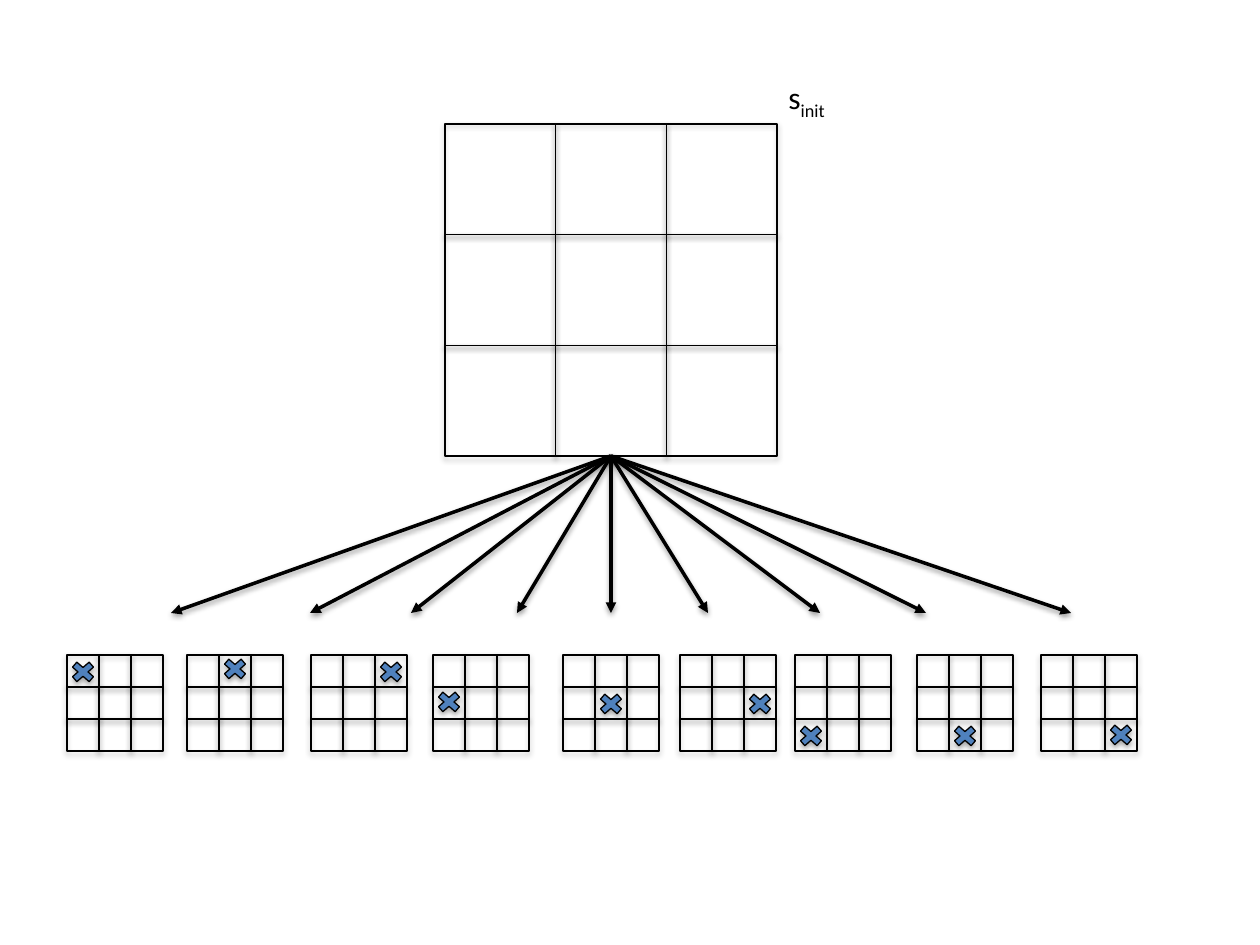
from lxml import etree
from pptx import Presentation
from pptx import util as u
from pptx.dml.color import RGBColor
from pptx.enum import shapes
from pptx.oxml import ns

SCALE = 914400 / 126
BLACK, BLUE = "000000", "4F81BD"
ROOT = (611, 456)
TIP_Y = 613
ROW_Y, SIDE = 655, 96
# board left, mark top, arrow tip x: one entry for each possible first move
MOVES = [
    (67, 658, 171), (187, 655, 310), (311, 658, 411),
    (433, 688, 517), (563, 690, 611), (680, 690, 708),
    (795, 722, 820), (917, 722, 926), (1041, 721, 1071),
]


def px(*vals):
    return [u.Emu(round(v * SCALE)) for v in vals]


def color(code):
    return RGBColor.from_string(code)


def add_node(parent, tag, **attrs):
    return etree.SubElement(parent, ns.qn(tag), attrs)


def add_shade(effects, dist, alpha):
    """Put a soft black shadow, cast straight down, in an effect list."""
    shade = add_node(effects, "a:outerShdw", blurRad="40000", dist=str(dist),
                     dir="5400000", rotWithShape="0")
    tint = add_node(shade, "a:srgbClr", val=BLACK)
    add_node(tint, "a:alpha", val=str(alpha * 1000))


def add_box(host, kind, x, y, w, h, fill=None):
    box = host.add_shape(kind, *px(x, y, w, h))
    if fill:
        box.fill.solid()
        box.fill.fore_color.rgb = color(fill)
    else:
        box.fill.background()
    box.line.color.rgb = color(BLACK)
    box.line.width = u.Pt(0.75)
    box.shadow.inherit = False
    add_shade(box._element.spPr.find(ns.qn("a:effectLst")), 23000, 35)


def add_board(slide, x, y, side):
    """Draw a three by three grid as one group."""
    group = slide.shapes.add_group_shape()
    cell = side / 3
    for row in range(3):
        for col in range(3):
            add_box(group.shapes, shapes.MSO_SHAPE.RECTANGLE,
                    x + col * cell, y + row * cell, cell, cell)


def add_arrow(slide, start, end):
    arrow = slide.shapes.add_connector(
        shapes.MSO_CONNECTOR.STRAIGHT, *px(*start, *end))
    arrow.line.color.rgb = color(BLACK)
    arrow.line.width = u.Pt(2)
    add_node(arrow.line._get_or_add_ln(), "a:tailEnd", type="triangle")
    add_shade(add_node(arrow._element.spPr, "a:effectLst"), 20000, 38)


def add_label(slide, x, y, w, h, name, sub):
    """Write a name followed by its subscript."""
    frame = slide.shapes.add_textbox(*px(x, y, w, h)).text_frame
    para = frame.paragraphs[0]
    for word in (name, sub):
        run = para.add_run()
        run.text = word
        run.font.name = "Calibri"
        run.font.size = u.Pt(18)
        run.font.color.rgb = color(BLACK)
    run._r.get_or_add_rPr().set("baseline", "-25000")


def main():
    deck = Presentation()
    deck.slide_width, deck.slide_height = px(1260, 945)
    slide = deck.slides.add_slide(deck.slide_layouts[6])

    add_board(slide, 445, 124, 332)
    add_label(slide, 776, 72, 82, 55, "s", "init")
    for _, _, tip in MOVES:
        add_arrow(slide, ROOT, (tip, TIP_Y))
    for left, _, _ in MOVES:
        add_board(slide, left, ROW_Y, SIDE)
    for i, (left, top, _) in enumerate(MOVES):
        add_box(slide.shapes, shapes.MSO_SHAPE.MATH_MULTIPLY,
                left + i % 3 * SIDE / 3, top, 32, 28, BLUE)

    deck.save("out.pptx")


if __name__ == "__main__":
    main()
